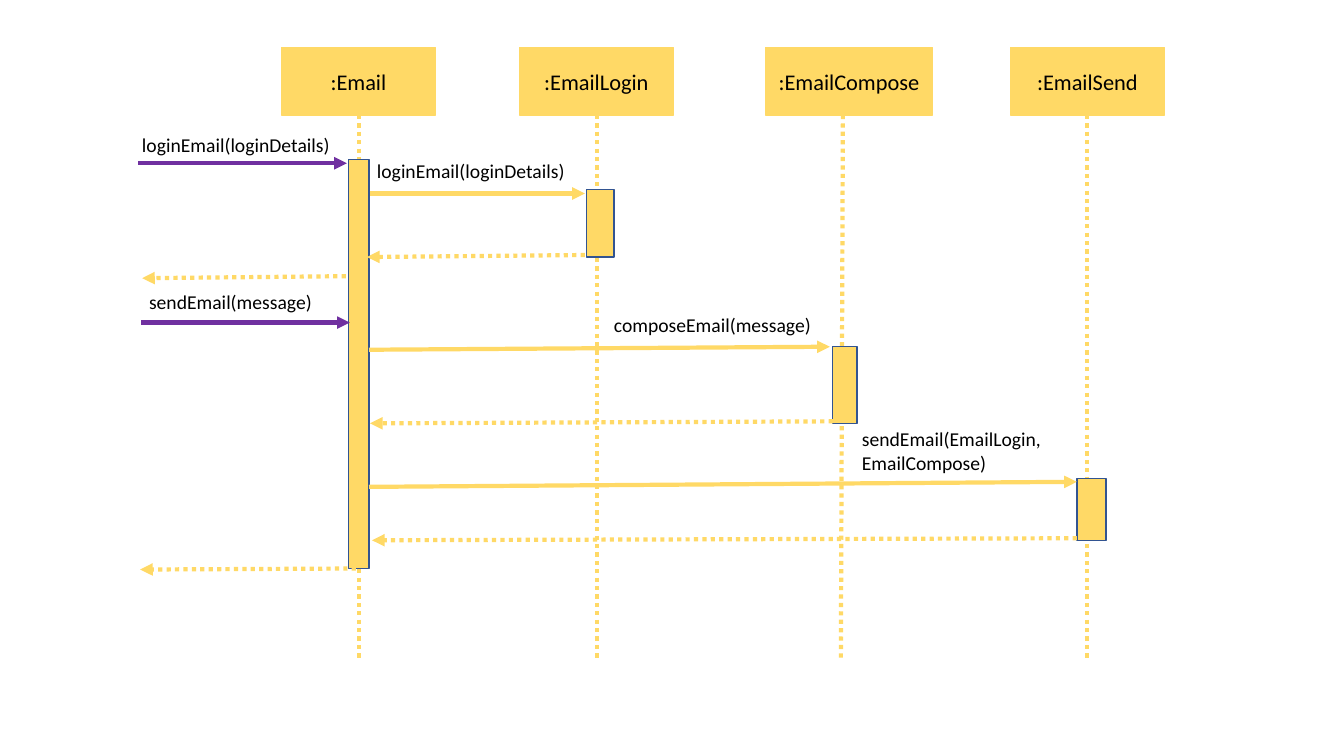
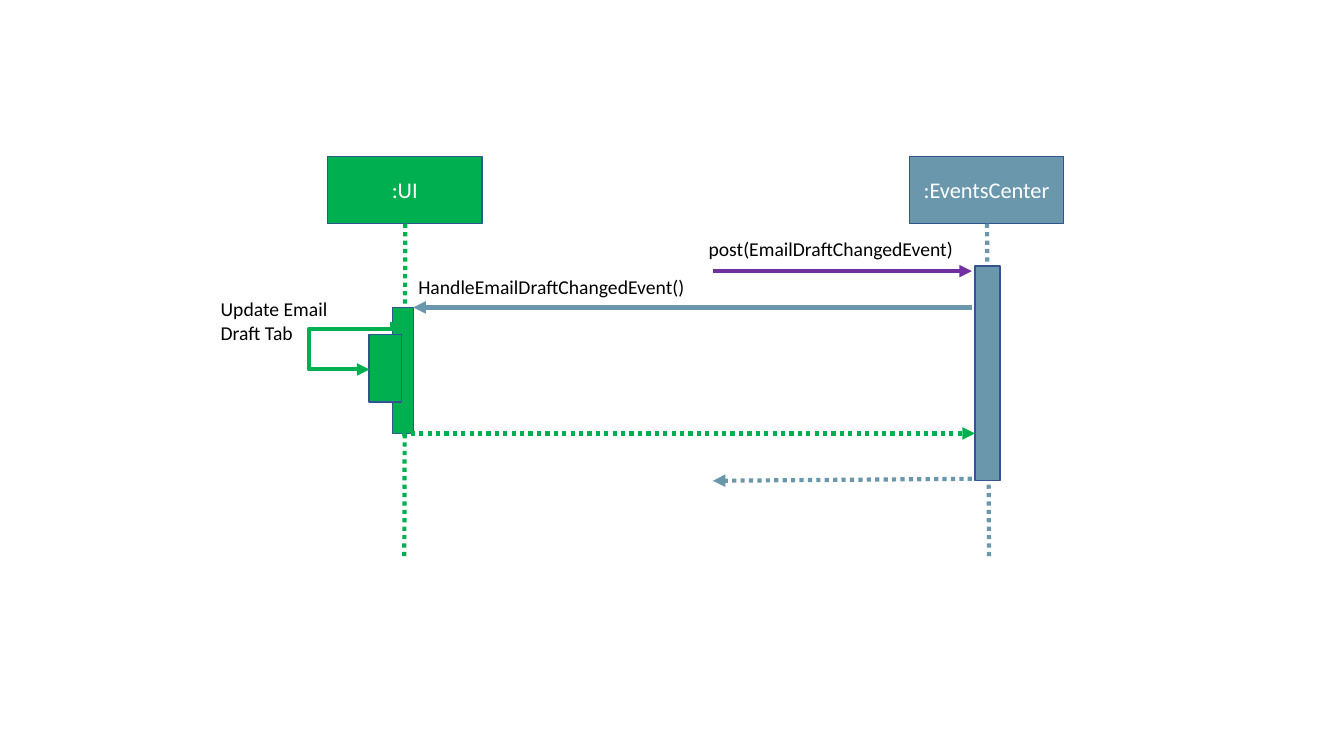
"""Draw two UML sequence diagrams, for an email client and for its events."""
from dataclasses import dataclass

from lxml.etree import SubElement
from pptx import Presentation
from pptx.dml.color import RGBColor
from pptx.enum.dml import MSO_LINE
from pptx.enum.shapes import MSO_CONNECTOR, MSO_SHAPE
from pptx.enum.text import MSO_ANCHOR, PP_ALIGN
from pptx.oxml.ns import qn
from pptx.presentation import Presentation as Deck
from pptx.shapes.autoshape import Shape
from pptx.shapes.connector import Connector
from pptx.slide import Slide
from pptx.util import Inches, Pt

FONT = "Calibri"
YELLOW, GREEN, SLATE, PURPLE = "FFD966", "00B050", "6B97AD", "7030A0"
OUTLINE, BLACK, WHITE = "325491", "000000", "FFFFFF"
HEAD_HEIGHT = 0.67


@dataclass(frozen=True)
class Theme:
    """The head style, head top and lifeline end that a diagram shares."""
    head_top: float
    life_end: float
    head_line: str
    head_text: str


@dataclass(frozen=True)
class Participant:
    """An object with its head box and lifeline."""
    name: str
    left: float
    width: float
    life_top_x: float
    life_end_x: float
    color: str


@dataclass(frozen=True)
class Activation:
    """A bar that shows when an object is active."""
    left: float
    top: float
    width: float
    height: float
    color: str


@dataclass(frozen=True)
class Message:
    """An arrow between objects, dotted for a reply."""
    start: tuple[float, float]
    end: tuple[float, float]
    color: str
    reply: bool = False


@dataclass(frozen=True)
class Label:
    """The text beside a message."""
    text: str
    left: float
    top: float
    width: float
    height: float = 0.34


@dataclass(frozen=True)
class Diagram:
    """All parts of one sequence diagram."""
    theme: Theme
    participants: list[Participant]
    activations: list[Activation]
    messages: list[Message]
    labels: list[Label]


def rgb(value: str) -> RGBColor:
    """Turn a hex string into a colour."""
    return RGBColor.from_string(value)


def write(box: Shape, text: str, size: int, color: str) -> None:
    """Put one paragraph of styled text in a shape."""
    box.text_frame.word_wrap = True
    para = box.text_frame.paragraphs[0]
    para.text = text
    para.font.name = FONT
    para.font.size = Pt(size)
    para.font.color.rgb = rgb(color)


def add_box(page: Slide, left: float, top: float, width: float, height: float,
            fill: str, line: str) -> Shape:
    """Add a plain rectangle."""
    box = page.shapes.add_shape(MSO_SHAPE.RECTANGLE, Inches(left), Inches(top),
                                Inches(width), Inches(height))
    box.shadow.inherit = False
    box.fill.solid()
    box.fill.fore_color.rgb = rgb(fill)
    box.line.color.rgb = rgb(line)
    box.line.width = Pt(1)
    return box


def add_line(page: Slide, start: tuple[float, float], end: tuple[float, float],
             color: str, dotted: bool = False, arrow: bool = True,
             kind: MSO_CONNECTOR = MSO_CONNECTOR.STRAIGHT) -> Connector:
    """Add a line, with an arrowhead at its end unless told otherwise."""
    line = page.shapes.add_connector(kind, Inches(start[0]), Inches(start[1]),
                                     Inches(end[0]), Inches(end[1]))
    line.line.color.rgb = rgb(color)
    line.line.width = Pt(3)
    if dotted:
        line.line.dash_style = MSO_LINE.ROUND_DOT
    properties = line._element.spPr
    if arrow:
        SubElement(properties.find(qn("a:ln")), qn("a:tailEnd"), type="triangle")
    SubElement(properties, qn("a:effectLst"))
    return line


def add_participant(page: Slide, person: Participant, theme: Theme) -> None:
    """Add a head box and the lifeline below it."""
    head = add_box(page, person.left, theme.head_top, person.width, HEAD_HEIGHT,
                   person.color, theme.head_line)
    head.text_frame.vertical_anchor = MSO_ANCHOR.MIDDLE
    write(head, person.name, 16, theme.head_text)
    head.text_frame.paragraphs[0].alignment = PP_ALIGN.CENTER
    add_line(page, (person.life_top_x, theme.head_top + HEAD_HEIGHT),
             (person.life_end_x, theme.life_end), person.color, dotted=True, arrow=False)


def add_label(page: Slide, label: Label) -> None:
    """Add the text of a message."""
    box = page.shapes.add_textbox(Inches(label.left), Inches(label.top),
                                  Inches(label.width), Inches(label.height))
    write(box, label.text, 14, BLACK)


def add_self_call(page: Slide, color: str) -> None:
    """Add the looping arrow from an object to itself."""
    loop = add_line(page, (3.54, 3.32), (4.01, 3.54), color, kind=MSO_CONNECTOR.ELBOW)
    loop.rotation = 90
    loop._element.spPr.find(qn("a:xfrm")).set("rot", str(90 * 60000))
    geometry = loop._element.spPr.find(qn("a:prstGeom"))
    geometry.set("prst", "bentConnector4")
    guides = geometry.find(qn("a:avLst"))
    if guides is None:
        guides = SubElement(geometry, qn("a:avLst"))
    for name, value in (("adj1", 14300), ("adj2", 373500)):
        SubElement(guides, qn("a:gd"), name=name, fmla=f"val {value}")


def add_diagram(deck: Deck, diagram: Diagram) -> Slide:
    """Add a slide that holds one diagram."""
    page = deck.slides.add_slide(deck.slide_layouts[6])
    for person in diagram.participants:
        add_participant(page, person, diagram.theme)
    for bar in diagram.activations:
        add_box(page, bar.left, bar.top, bar.width, bar.height, bar.color, OUTLINE)
    for message in diagram.messages:
        add_line(page, message.start, message.end, message.color, message.reply)
    for label in diagram.labels:
        add_label(page, label)
    return page


EMAIL = Diagram(
    Theme(0.47, 6.55, YELLOW, BLACK),
    [
        Participant(":Email", 2.79, 1.53, 3.56, 3.56, YELLOW),
        Participant(":EmailLogin", 5.15, 1.53, 5.92, 5.92, YELLOW),
        Participant(":EmailCompose", 7.59, 1.66, 8.36, 8.34, YELLOW),
        Participant(":EmailSend", 10.02, 1.53, 10.78, 10.78, YELLOW),
    ],
    [
        Activation(3.46, 1.58, 0.2, 4.06, YELLOW),
        Activation(5.82, 1.88, 0.27, 0.67, YELLOW),
        Activation(8.26, 3.44, 0.24, 0.76, YELLOW),
        Activation(10.68, 4.75, 0.29, 0.61, YELLOW),
    ],
    [
        Message((1.37, 1.62), (3.44, 1.62), PURPLE),
        Message((3.67, 1.92), (5.8, 1.92), YELLOW),
        Message((5.8, 2.53), (3.64, 2.55), YELLOW, reply=True),
        Message((3.43, 2.74), (1.41, 2.76), YELLOW, reply=True),
        Message((1.4, 3.2), (3.47, 3.2), PURPLE),
        Message((3.66, 3.47), (8.23, 3.44), YELLOW),
        Message((8.26, 4.18), (3.67, 4.2), YELLOW, reply=True),
        Message((3.66, 4.83), (10.68, 4.78), YELLOW),
        Message((10.68, 5.34), (3.69, 5.36), YELLOW, reply=True),
        Message((3.53, 5.64), (1.39, 5.65), YELLOW, reply=True),
    ],
    [
        Label("loginEmail(loginDetails)", 1.31, 1.27, 2.44),
        Label("loginEmail(loginDetails)", 3.64, 1.53, 2.44),
        Label("sendEmail(message)", 1.38, 2.83, 2.23),
        Label("composeEmail(message)", 5.99, 3.06, 2.69),
        Label("sendEmail(EmailLogin, EmailCompose)", 8.45, 4.19, 2.69, 0.57),
    ],
)

EVENTS = Diagram(
    Theme(1.55, 5.55, OUTLINE, WHITE),
    [
        Participant(":UI", 3.25, 1.53, 4.02, 4.01, GREEN),
        Participant(":EventsCenter", 9.02, 1.53, 9.79, 9.81, SLATE),
    ],
    [
        Activation(3.89, 3.05, 0.21, 1.25, GREEN),
        Activation(9.67, 2.64, 0.25, 2.13, SLATE),
        Activation(3.66, 3.32, 0.32, 0.67, GREEN),
    ],
    [
        Message((7.07, 2.69), (9.64, 2.69), PURPLE),
        Message((9.64, 3.05), (4.1, 3.05), SLATE),
        Message((3.99, 4.3), (9.67, 4.3), GREEN, reply=True),
        Message((9.64, 4.75), (7.07, 4.77), SLATE, reply=True),
    ],
    [
        Label("post(EmailDraftChangedEvent)", 6.93, 2.3, 3.23),
        Label("HandleEmailDraftChangedEvent()", 4.05, 2.68, 3.21),
        Label("Update Email Draft Tab", 2.09, 2.9, 1.43, 0.57),
    ],
)


def main() -> None:
    """Build and save the deck."""
    deck = Presentation()
    deck.slide_width = Inches(13.33)
    deck.slide_height = Inches(7.5)
    add_diagram(deck, EMAIL)
    events_page = add_diagram(deck, EVENTS)
    add_self_call(events_page, GREEN)
    deck.save("out.pptx")


if __name__ == "__main__":
    main()
